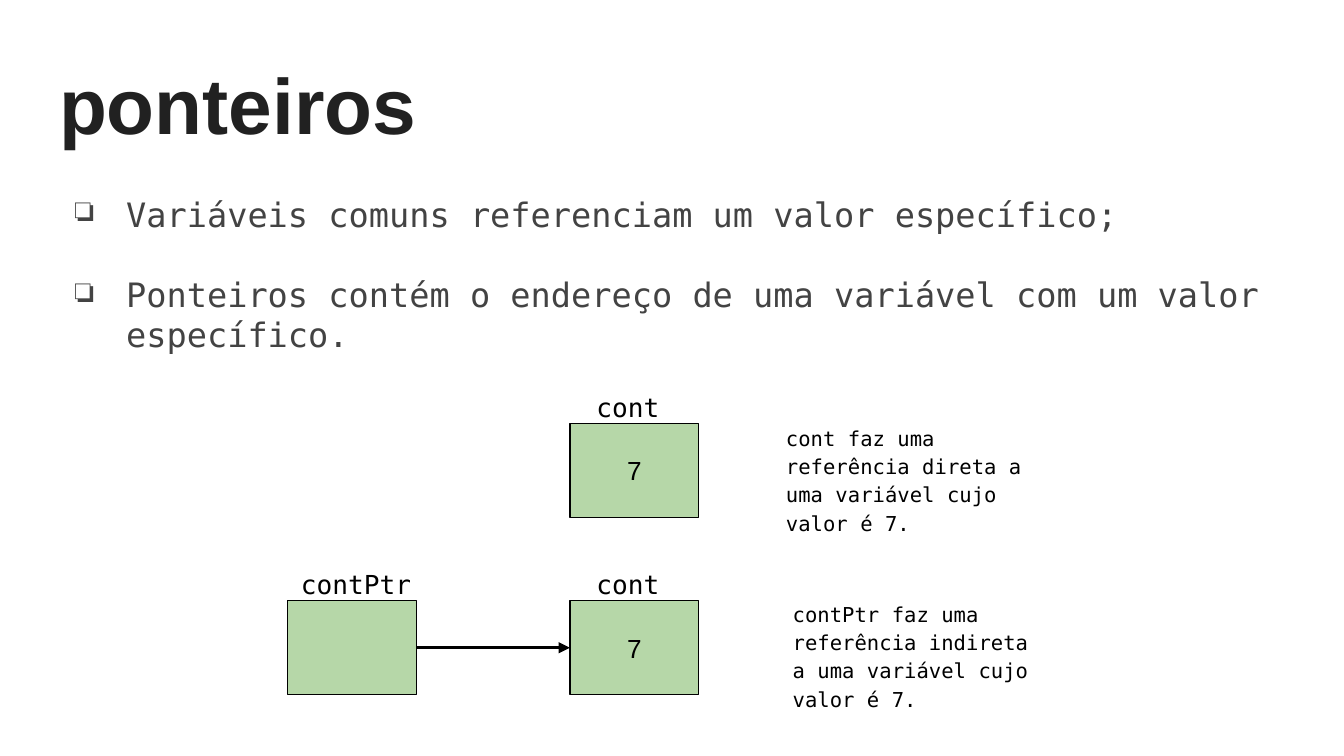
from dataclasses import dataclass

from lxml.etree import SubElement
from pptx import Presentation
from pptx.dml.color import RGBColor
from pptx.enum.shapes import MSO_CONNECTOR, MSO_SHAPE
from pptx.enum.text import MSO_ANCHOR, MSO_AUTO_SIZE, PP_ALIGN
from pptx.oxml.ns import qn
from pptx.util import Inches, Pt


@dataclass(frozen=True)
class Theme:
    """Hold the colours, fonts and type sizes."""
    title_color: str = "212121"
    body_color: str = "434343"
    ink: str = "000000"
    cell_fill: str = "B6D7A8"
    sans: str = "Arial"
    mono: str = "DejaVu Sans Mono"
    title_size: int = 42
    body_size: int = 18
    label_size: int = 14
    note_size: int = 11


def write(frame, *lines, font, size, color, bold=False, align=PP_ALIGN.LEFT,
          anchor=MSO_ANCHOR.TOP, spacing=None, gap=0):
    """Write one paragraph per line in a text frame and return the paragraphs."""
    frame.word_wrap = True
    frame.auto_size = MSO_AUTO_SIZE.NONE
    frame.vertical_anchor = anchor
    frame.margin_left = frame.margin_right = Inches(0.1)
    frame.margin_top = frame.margin_bottom = Inches(0.1)
    for index, line in enumerate(lines):
        para = frame.paragraphs[0] if index == 0 else frame.add_paragraph()
        para.alignment = align
        para.line_spacing = spacing
        para.space_before = Pt(gap if index else 0)
        span = para.add_run()
        span.text = line
        span.font.name = font
        span.font.size = Pt(size)
        span.font.bold = bold
        span.font.color.rgb = RGBColor.from_string(color)
    return frame.paragraphs


class SlideBuilder:
    """Draw styled elements on the current slide."""

    def __init__(self, page, theme):
        self.page = page
        self.theme = theme

    def title(self, text, left, top, width, height):
        """Place and format the title placeholder."""
        box = self.page.shapes.title
        box.left, box.top = Inches(left), Inches(top)
        box.width, box.height = Inches(width), Inches(height)
        write(box.text_frame, text, font=self.theme.sans, bold=True,
              size=self.theme.title_size, color=self.theme.title_color)

    def text(self, left, top, width, height, *lines, **style):
        """Add a monospaced text box and return its paragraphs."""
        box = self.page.shapes.add_textbox(
            Inches(left), Inches(top), Inches(width), Inches(height))
        style = {"font": self.theme.mono, "color": self.theme.ink} | style
        return write(box.text_frame, *lines, **style)

    def bullets(self, left, top, width, height, *lines):
        """Add a list with hollow square bullets."""
        paras = self.text(left, top, width, height, *lines, gap=21.5,
                          size=self.theme.body_size, color=self.theme.body_color)
        for para in paras:
            props = para._p.get_or_add_pPr()
            props.set("marL", str(Inches(0.5)))
            props.set("indent", str(Inches(-0.38)))
            color = SubElement(props, qn("a:buClr"))
            SubElement(color, qn("a:srgbClr"), val=self.theme.body_color)
            SubElement(props, qn("a:buSzPts"), val=str(self.theme.body_size * 100))
            SubElement(props, qn("a:buChar"), char="❏")

    def label(self, text, left, top, width):
        """Add a variable name above a memory cell."""
        self.text(left, top, width, 0.27, text, size=self.theme.label_size)

    def note(self, text, left, top):
        """Add an explanation beside a memory cell."""
        self.text(left, top, 2.13, 0.94, text, size=self.theme.note_size, spacing=1.15)

    def cell(self, left, top, value=None):
        """Add a memory cell with an optional value."""
        box = self.page.shapes.add_shape(
            MSO_SHAPE.RECTANGLE, Inches(left), Inches(top), Inches(0.96), Inches(0.7))
        box.shadow.inherit = False
        box.fill.solid()
        box.fill.fore_color.rgb = RGBColor.from_string(self.theme.cell_fill)
        box.line.color.rgb = RGBColor.from_string(self.theme.ink)
        box.line.width = Pt(0.75)
        if value:
            write(box.text_frame, value, font=self.theme.sans, size=self.theme.label_size,
                  color=self.theme.ink, align=PP_ALIGN.CENTER, anchor=MSO_ANCHOR.MIDDLE)
        return box

    def arrow(self, source, target):
        """Join the right side of one cell to the left side of another."""
        arrow = self.page.shapes.add_connector(MSO_CONNECTOR.STRAIGHT, 0, 0, 0, 0)
        arrow.begin_connect(source, 3)
        arrow.end_connect(target, 1)
        arrow.line.color.rgb = RGBColor.from_string(self.theme.ink)
        arrow.line.width = Pt(1.5)
        SubElement(arrow.line._get_or_add_ln(), qn("a:tailEnd"), type="triangle")
        SubElement(arrow._element.spPr, qn("a:effectLst"))


def main():
    """Build and save the slide about pointers."""
    deck = Presentation()
    deck.slide_width = Inches(10)
    deck.slide_height = deck.slide_width * 9 // 16
    page = deck.slides.add_slide(deck.slide_layouts[5])
    builder = SlideBuilder(page, Theme())

    builder.title("ponteiros", 0.34, 0.32, 9.32, 0.88)
    builder.bullets(
        0.34, 1.34, 9.32, 3.65,
        "Variáveis comuns referenciam um valor específico;",
        "Ponteiros contém o endereço de uma variável com um valor específico.")

    pointer_left, value_left = 2.14, 4.24
    direct_top, indirect_top = 3.15, 4.47
    label_rise = 0.34

    pointer = builder.cell(pointer_left, indirect_top)
    builder.label("contPtr", pointer_left, indirect_top - label_rise, 1.09)
    for top in (direct_top, indirect_top):
        target = builder.cell(value_left, top, "7")
        builder.label("cont", value_left + 0.1, top - label_rise, 0.76)
    builder.arrow(pointer, target)

    builder.note("cont faz uma referência direta a uma variável cujo valor é 7.",
                 5.75, direct_top - 0.11)
    builder.note("contPtr faz uma referência indireta a uma variável cujo valor é 7.",
                 5.8, indirect_top - 0.12)
    deck.save("out.pptx")


if __name__ == "__main__":
    main()
